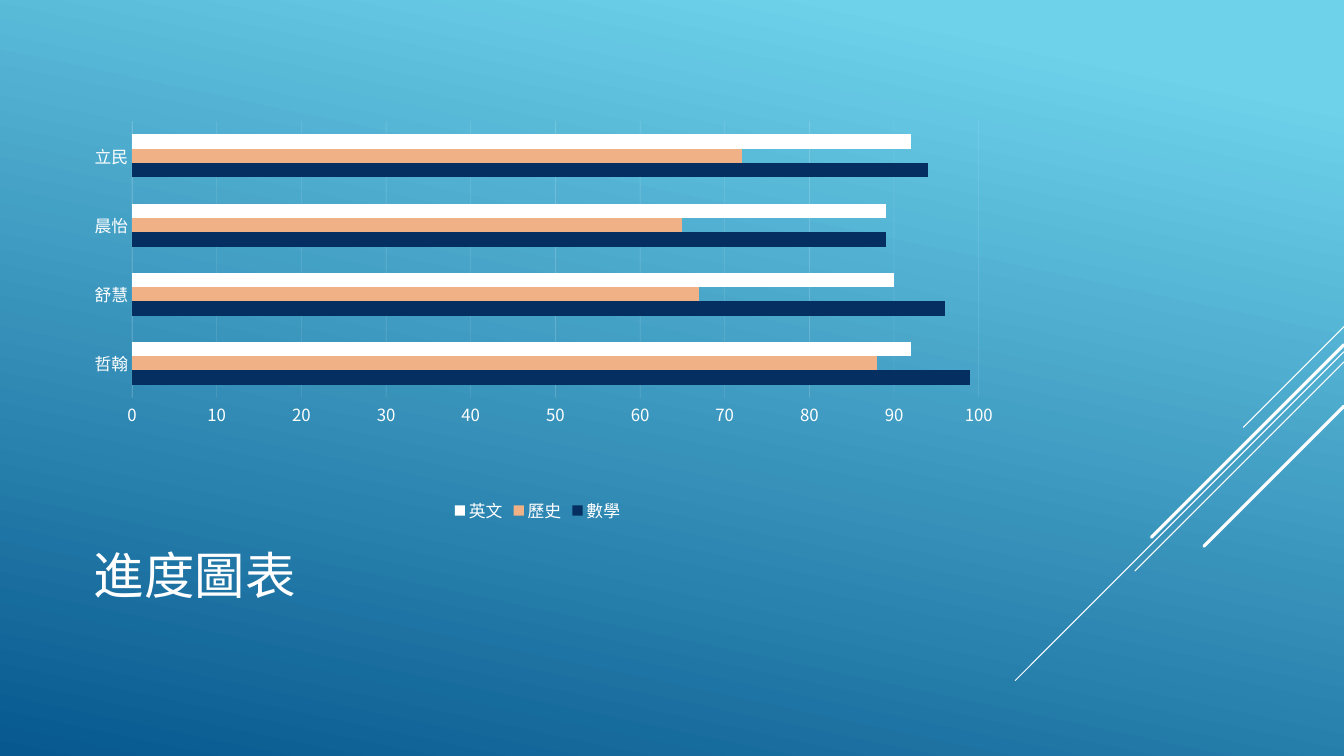
from typing import NamedTuple

from lxml.etree import SubElement
from pptx import Presentation
from pptx.chart.data import CategoryChartData
from pptx.dml.color import RGBColor
from pptx.enum.chart import XL_CHART_TYPE as ChartType, XL_LEGEND_POSITION as LegendPlace
from pptx.enum.chart import XL_TICK_MARK as TickMark
from pptx.enum.shapes import MSO_CONNECTOR as Connector, MSO_SHAPE as Preset
from pptx.enum.text import MSO_ANCHOR as Anchor
from pptx.oxml.ns import qn
from pptx.util import Inches, Pt

FONT = "Noto Sans CJK TC"
WHITE, SKY, DEEP = "FFFFFF", "6ED2EB", "06588E"


class Area(NamedTuple):
    """Place in percent of the slide's width and height."""
    left: float
    top: float
    width: float
    height: float


class Ray(NamedTuple):
    """45 degree line from the right edge, in percent of the slide's height."""
    start: float
    run: float
    weight: float


class Subject(NamedTuple):
    name: str
    scores: tuple
    color: str


STUDENTS = ("哲翰", "舒慧", "晨怡", "立民")
SUBJECTS = (
    Subject("數學", (99, 96, 89, 94), "052F61"),
    Subject("歷史", (88, 67, 65, 72), "F1B187"),
    Subject("英文", (92, 90, 89, 92), WHITE),
)
RAYS = (
    Ray(43.2, 13.33, 0.75),
    Ray(46.53, 43.47, 0.75),
    Ray(47.87, 27.65, 0.75),
    Ray(45.6, 25.47, 2.25),
    Ray(53.73, 18.53, 2.25),
)
PLOT = {"x": 0.069, "y": 0.037, "w": 0.9, "h": 0.656}

deck = Presentation()
deck.slide_width, deck.slide_height = Inches(40 / 3), Inches(7.5)
page = deck.slides.add_slide(deck.slide_layouts[6])


def rgb(color: str) -> RGBColor:
    return RGBColor.from_string(color)


def across(share: float) -> int:
    return round(deck.slide_width * share / 100)


def down(share: float) -> int:
    return round(deck.slide_height * share / 100)


def place(area: Area) -> tuple:
    return across(area.left), down(area.top), across(area.width), down(area.height)


def style_font(font, size: float) -> None:
    font.size, font.name, font.bold = Pt(size), FONT, False
    font.color.rgb = rgb(WHITE)


def paint_gradient(fill, first_stop: float) -> None:
    fill.gradient()
    fill.gradient_angle = 258
    for stop, color, position in zip(fill.gradient_stops, (SKY, DEEP), (first_stop, 1)):
        stop.color.rgb, stop.position = rgb(color), position


def faint_line(line) -> None:
    line.width = Pt(0.25)
    line.color.rgb = rgb(WHITE)
    for color in line._ln.iter(qn("a:srgbClr")):
        SubElement(color, qn("a:alpha"), val="25000")


def draw_ray(group, ray: Ray) -> None:
    right, top, run = deck.slide_width, down(ray.start), down(ray.run)
    connector = group.shapes.add_connector(
        Connector.STRAIGHT, right, top, right - run, top + run)
    connector.line.width = Pt(ray.weight)
    connector.line.color.rgb = rgb(WHITE)
    props = connector._element.spPr
    props.find(qn("a:ln")).set("cap", "rnd")
    SubElement(props, qn("a:effectLst"))


def draw_chart(area: Area) -> None:
    data = CategoryChartData()
    data.categories = STUDENTS
    for subject in SUBJECTS:
        data.add_series(subject.name, subject.scores)
    chart = page.shapes.add_chart(ChartType.BAR_CLUSTERED, *place(area), data).chart
    style_font(chart.font, 10)
    chart.has_title = False

    # Bars
    plot = chart.plots[0]
    plot.gap_width, plot.overlap, plot.vary_by_categories = 182, 0, False
    for series, subject in zip(plot.series, SUBJECTS):
        series.format.fill.solid()
        series.format.fill.fore_color.rgb = rgb(subject.color)
        series.invert_if_negative = False

    # Axes
    students, scores = chart.category_axis, chart.value_axis
    for axis in (students, scores):
        axis.major_tick_mark = axis.minor_tick_mark = TickMark.NONE
        style_font(axis.tick_labels.font, 12)
    faint_line(students.format.line)
    scores.minimum_scale, scores.maximum_scale, scores.major_unit = 0, 100, 10
    scores.format.line.fill.background()
    scores.has_major_gridlines = True
    faint_line(scores.major_gridlines.format.line)

    # Legend
    chart.has_legend = True
    chart.legend.position = LegendPlace.BOTTOM
    chart.legend.include_in_layout = False
    style_font(chart.legend.font, 12)

    # Inner plot area
    plot_area = chart._chartSpace.chart.plotArea
    layout = plot_area.find(qn("c:layout"))
    if layout is None:
        layout = SubElement(plot_area, qn("c:layout"))
        plot_area.insert(0, layout)
    manual = SubElement(layout, qn("c:manualLayout"))
    SubElement(manual, qn("c:layoutTarget"), val="inner")
    for side in "xy":
        SubElement(manual, qn(f"c:{side}Mode"), val="edge")
    for side, share in PLOT.items():
        SubElement(manual, qn(f"c:{side}"), val=str(share))


# Backdrop
paint_gradient(page.background.fill, 0)
backdrop = page.shapes.add_shape(Preset.RECTANGLE, *place(Area(0, 0, 100, 100)))
backdrop.shadow.inherit = False
backdrop.line.fill.background()
paint_gradient(backdrop.fill, 0.1)

# Title
title_box = page.shapes.add_textbox(*place(Area(6.25, 65.5, 70, 22)))
frame = title_box.text_frame
frame.word_wrap, frame.vertical_anchor = True, Anchor.MIDDLE
para = frame.paragraphs[0]
para.line_spacing = 0.9
span = para.add_run()
span.text = "進度圖表"
style_font(span.font, 36)

# Rays at the right edge
ray_group = page.shapes.add_group_shape()
for ray in RAYS:
    draw_ray(ray_group, ray)

# Score chart
draw_chart(Area(5, 14, 70, 55.73))

deck.save("out.pptx")
